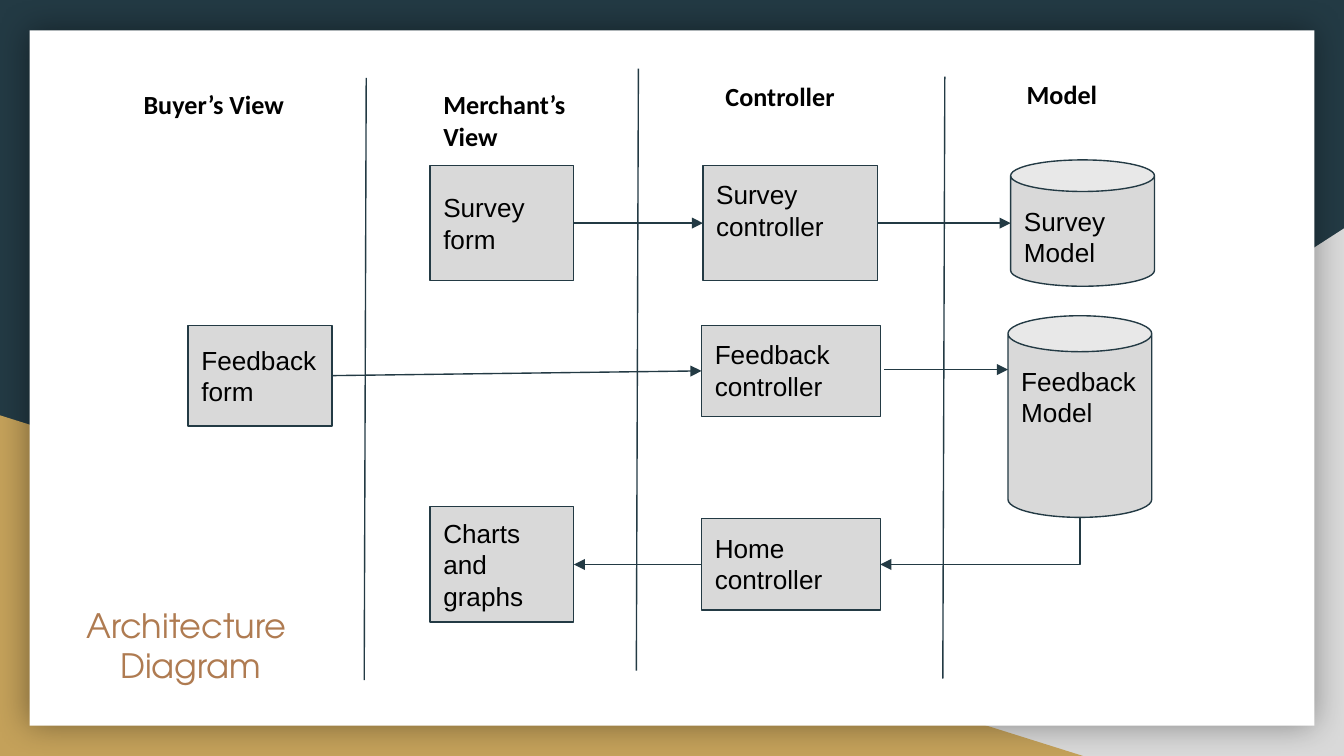
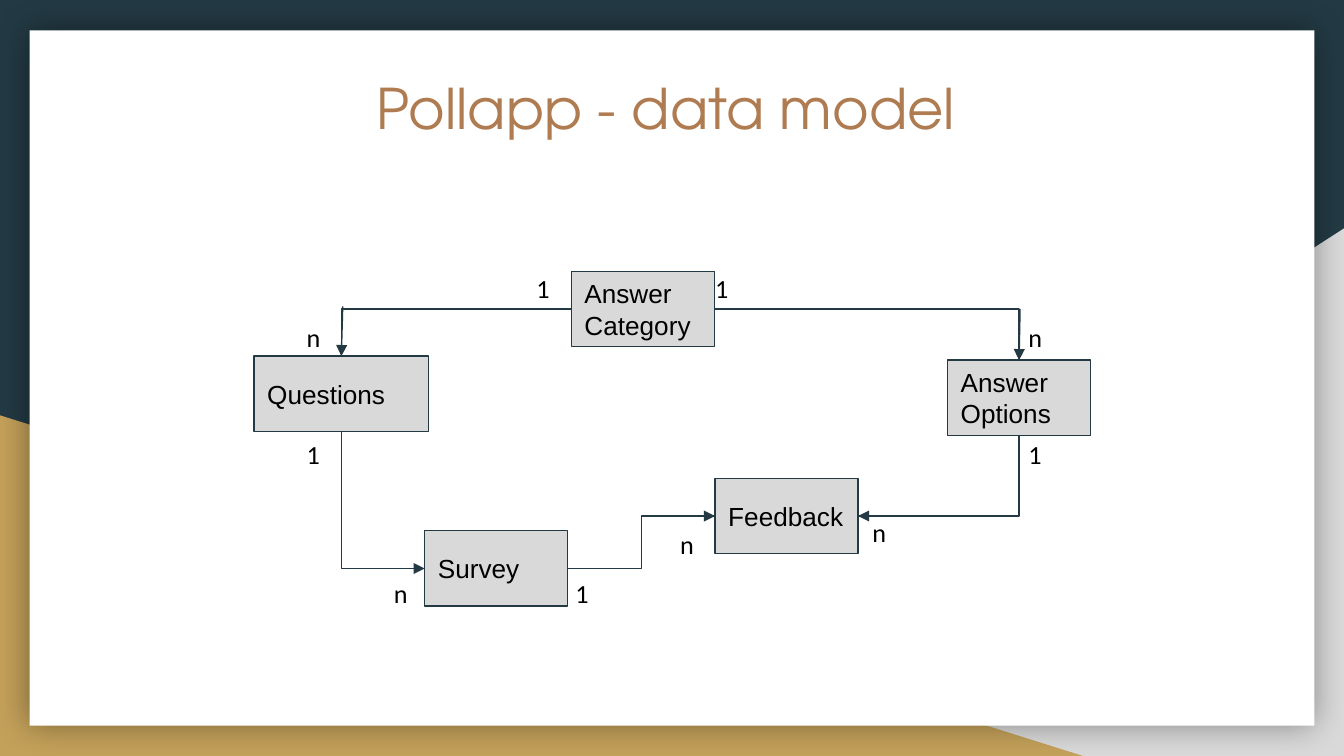
"""Build the architecture diagram and the data model slides of Pollapp."""
from dataclasses import dataclass

from lxml.etree import SubElement
from pptx import Presentation
from pptx.dml.color import RGBColor
from pptx.enum.shapes import MSO_CONNECTOR, MSO_SHAPE
from pptx.enum.text import MSO_ANCHOR, MSO_AUTO_SIZE, PP_ALIGN
from pptx.oxml.ns import qn
from pptx.util import Inches, Pt


@dataclass(frozen=True)
class Theme:
    navy: RGBColor = RGBColor.from_string("233A44")
    gold: RGBColor = RGBColor.from_string("C4A15A")
    gray: RGBColor = RGBColor.from_string("D9D9D9")
    white: RGBColor = RGBColor.from_string("FFFFFF")
    black: RGBColor = RGBColor.from_string("000000")
    copper: RGBColor = RGBColor.from_string("AF7B51")
    title_font: str = "TeX Gyre Adventor"
    box_font: str = "Arial"
    label_font: str = "Calibri"
    body_size: float = 14
    small_title_size: float = 18
    title_size: float = 30
    line_width: float = 0.75


THEME = Theme()
GRID = Inches(0.1)
COLUMNS, ROWS = 100, 56.25
TOP, LEFT, BOTTOM, RIGHT = range(4)
RECTANGLE, CAN = MSO_SHAPE.RECTANGLE, MSO_SHAPE.CAN
UPPER, MIDDLE = MSO_ANCHOR.TOP, MSO_ANCHOR.MIDDLE


def put_text(shape, place, text, *, font=THEME.label_font, size=THEME.body_size,
             color=THEME.black, bold=False, align=PP_ALIGN.LEFT, anchor=UPPER):
    """Place a shape on the grid and write formatted text in it."""
    shape.left, shape.top, shape.width, shape.height = (round(GRID * part) for part in place)
    frame = shape.text_frame
    frame.text = text
    frame.word_wrap = True
    frame.auto_size = MSO_AUTO_SIZE.NONE
    frame.vertical_anchor = anchor
    frame.margin_left = frame.margin_right = frame.margin_top = frame.margin_bottom = GRID
    for paragraph in frame.paragraphs:
        paragraph.alignment = align
        for run in paragraph.runs:
            run.font.name, run.font.size, run.font.bold = font, Pt(size), bold
            run.font.color.rgb = color


def connect(slide, start, end, *, preset="line", arrow=False):
    """Draw a connector between grid points or (box name, side) pairs."""
    kind = MSO_CONNECTOR.STRAIGHT if preset == "line" else MSO_CONNECTOR.ELBOW
    connector = slide.shapes.add_connector(kind, 0, 0, 0, 0)
    if start[0] in boxes:
        connector.begin_connect(boxes[start[0]], start[1])
    else:
        connector.begin_x, connector.begin_y = (round(GRID * part) for part in start)
    if end[0] in boxes:
        connector.end_connect(boxes[end[0]], end[1])
        if boxes[end[0]].auto_shape_type == CAN:
            next(connector.element.iter(qn("a:endCxn"))).set("idx", str(end[1] + 1))
    else:
        connector.end_x, connector.end_y = (round(GRID * part) for part in end)
    connector.line.color.rgb = THEME.navy
    connector.line.width = Pt(THEME.line_width)
    properties = connector.element.spPr
    properties.find(qn("a:prstGeom")).set("prst", preset)
    if arrow:
        SubElement(properties.find(qn("a:ln")), qn("a:tailEnd"), type="triangle")
    SubElement(properties, qn("a:effectLst"))


presentation = Presentation()
presentation.slide_width = round(GRID * COLUMNS)
presentation.slide_height = round(GRID * ROWS)
title_only = presentation.slide_layouts[5]
architecture = presentation.slides.add_slide(title_only)
data_model = presentation.slides.add_slide(title_only)

master = presentation.slide_master
master.background.fill.solid()
master.background.fill.fore_color.rgb = THEME.navy
backdrop = [
    (MSO_SHAPE.RIGHT_TRIANGLE, THEME.gray, (39.2, 17, 60.8, 39.25)),
    (MSO_SHAPE.RIGHT_TRIANGLE, THEME.gold, (0, 30.9, 80.6, 25.35)),
    (RECTANGLE, THEME.white, (2.2, 2.25, 95.6, 51.75)),
]
for index, (kind, color, place) in enumerate(backdrop):
    shape = architecture.shapes.add_shape(kind, *(round(GRID * part) for part in place))
    shape.fill.solid()
    shape.fill.fore_color.rgb = color
    shape.line.fill.background()
    shape.shadow.inherit = False
    properties = shape.element.spPr
    if color == THEME.gray:
        properties.find(qn("a:xfrm")).set("flipH", "1")
    if color == THEME.white:
        shadow = SubElement(properties.find(qn("a:effectLst")), qn("a:outerShdw"),
                            blurRad=str(Pt(18)), dist="0", dir="0", algn="ctr", rotWithShape="0")
        shadow_color = SubElement(shadow, qn("a:srgbClr"), val=str(THEME.black))
        SubElement(shadow_color, qn("a:alpha"), val="40000")
    shape.element.nvSpPr.cNvPr.set("id", str(101 + index))
    master.element.cSld.spTree.insert(2 + index, shape.element)

titles = [
    (architecture, "Architecture \nDiagram", THEME.small_title_size, (4.4, 44, 19.6, 8.6)),
    (data_model, "Pollapp - data model", THEME.title_size, (8.5, 4.5, 82.1, 10.4)),
]
for slide, text, size, place in titles:
    put_text(slide.shapes.title, place, text, font=THEME.title_font, size=size,
             color=THEME.copper, align=PP_ALIGN.CENTER)

box_rows = [
    (architecture, RECTANGLE, UPPER, "Survey controller", (52.3, 12.3, 13, 8.6)),
    (architecture, RECTANGLE, UPPER, "Feedback controller", (52.2, 24.2, 13.3, 6.8)),
    (architecture, RECTANGLE, UPPER, "Home controller", (52.2, 38.6, 13.3, 6.8)),
    (architecture, CAN, UPPER, "Survey Model", (75.2, 11.9, 10.7, 9.4)),
    (architecture, CAN, UPPER, "Feedback Model", (75, 23.5, 10.7, 15)),
    (architecture, RECTANGLE, MIDDLE, "Survey form", (32, 12.3, 10.7, 8.6)),
    (architecture, RECTANGLE, MIDDLE, "Feedback form", (14, 24.2, 10.7, 7.5)),
    (architecture, RECTANGLE, MIDDLE, "Charts and graphs", (32, 37.7, 10.7, 8.6)),
    (data_model, RECTANGLE, MIDDLE, "Survey", (31.6, 39.5, 10.65, 5.6)),
    (data_model, RECTANGLE, MIDDLE, "Feedback", (53.2, 35.6, 10.65, 5.6)),
    (data_model, RECTANGLE, MIDDLE, "Answer Options", (70.5, 26.8, 10.65, 5.6)),
    (data_model, RECTANGLE, MIDDLE, "Answer Category", (42.5, 20.2, 10.65, 5.6)),
    (data_model, RECTANGLE, MIDDLE, "Questions", (18.9, 26.5, 13, 5.6)),
]
boxes = {}
for slide, kind, anchor, text, place in box_rows:
    box = slide.shapes.add_shape(kind, 0, 0, 0, 0)
    put_text(box, place, text, font=THEME.box_font, anchor=anchor)
    box.fill.solid()
    box.fill.fore_color.rgb = THEME.gray
    box.line.color.rgb = THEME.navy
    box.line.width = Pt(THEME.line_width)
    box.shadow.inherit = False
    boxes[text] = box

headings = [
    ("Buyer’s View", (9.7, 5.6, 13.3, 3.4)),
    ("Merchant’s View", (32, 5.6, 13.3, 3.4)),
    ("Controller", (53, 5, 11.7, 2.8)),
    ("Model", (75.4, 4.8, 14.4, 3.4)),
]
for text, place in headings:
    put_text(architecture.shapes.add_textbox(0, 0, 0, 0), place, text, bold=True)

for column, row in [(27.25, 5.8), (47.5, 5.1), (70.3, 5.7)]:
    connect(architecture, (column, row), (column - 0.15, row + 44.8))

arrows = [
    (architecture, ("Survey form", RIGHT), ("Survey controller", LEFT)),
    (architecture, ("Survey controller", RIGHT), ("Survey Model", LEFT)),
    (architecture, ("Feedback form", RIGHT), ("Feedback controller", LEFT)),
    (architecture, (65.8, 27.5), (75, 27.5)),
    (architecture, ("Home controller", LEFT), ("Charts and graphs", RIGHT)),
    (architecture, (70.4, 42), ("Home controller", RIGHT)),
    (data_model, (75.9, 23), ("Answer Options", TOP)),
    (data_model, (50.5, 38.4), ("Feedback", LEFT)),
    (data_model, (25.5, 22.8), ("Questions", TOP)),
    (data_model, (25.6, 42.3), ("Survey", LEFT)),
    (data_model, (67.1, 38.4), ("Feedback", RIGHT)),
]
for slide, start, end in arrows:
    connect(slide, start, end, arrow=True)

bends = [
    (architecture, ("Home controller", RIGHT), ("Feedback Model", BOTTOM)),
    (data_model, ("Answer Category", LEFT), ("Questions", TOP)),
    (data_model, ("Answer Category", RIGHT), ("Answer Options", TOP)),
    (data_model, ("Survey", LEFT), ("Questions", BOTTOM)),
    (data_model, ("Feedback", RIGHT), ("Answer Options", BOTTOM)),
]
for slide, start, end in bends:
    connect(slide, start, end, preset="bentConnector2")
connect(data_model, ("Survey", RIGHT), ("Feedback", LEFT), preset="bentConnector3")

cardinalities = {
    "1": [(39.3, 19.4), (52.6, 19.4), (22.2, 31.7), (75.9, 31.7), (42.2, 42.1)],
    "n": [(28.7, 42.1), (50, 38.4), (22.2, 23), (64.3, 37.5), (75.9, 23)],
}
for text, corners in cardinalities.items():
    for corner in corners:
        put_text(data_model.shapes.add_textbox(0, 0, 0, 0), (*corner, 1.6, 1.8), text)

presentation.save("out.pptx")
